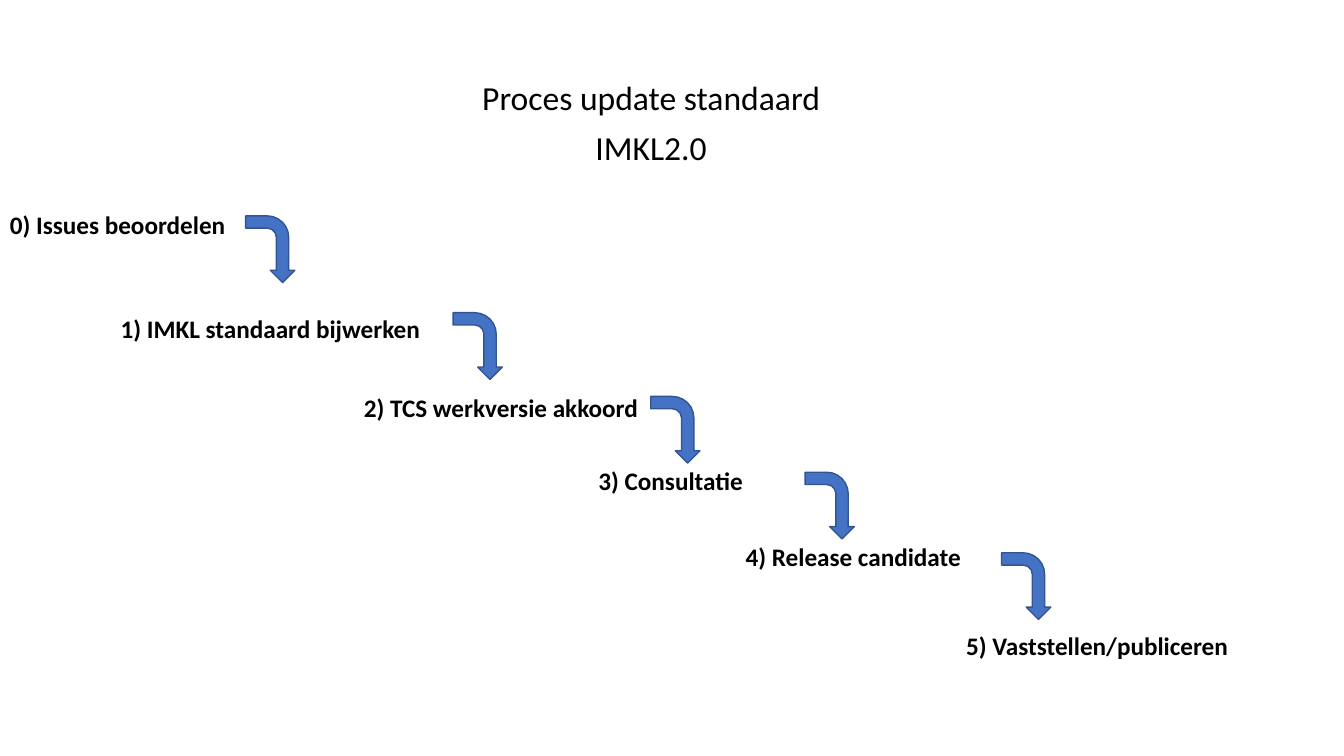
from pptx import Presentation
from pptx.dml.color import RGBColor
from pptx.enum.shapes import MSO_SHAPE
from pptx.enum.text import MSO_AUTO_SIZE, PP_ALIGN
from pptx.util import Cm, Pt

BENT_ARROW = MSO_SHAPE.BENT_ARROW
FIT_SHAPE = MSO_AUTO_SIZE.SHAPE_TO_FIT_TEXT
NO_FIT = MSO_AUTO_SIZE.NONE
LEFT, CENTER = PP_ALIGN.LEFT, PP_ALIGN.CENTER

COLORS = {"text": "000000", "arrow": "4472C4", "arrow_line": "325491"}
FONT = "Calibri"
LABEL_HEIGHT = 1.03
ARROW_WIDTH, ARROW_HEIGHT = 1.68, 1.24

# label, left, top, width in cm
STEPS = [
    ("0) Issues beoordelen", 0, 5.16, 5.97),
    ("1) IMKL standaard bijwerken", 2.79, 7.77, 8.13),
    ("2) TCS werkversie akkoord", 8.92, 9.75, 7.47),
    ("3) Consultatie", 14.83, 11.61, 4.19),
    ("4) Release candidate", 18.54, 13.51, 5.97),
    ("5) Vaststellen/publiceren", 24.1, 15.77, 7.16),
]
# left, top in cm, before rotation
ARROWS = [(5.97, 5.66), (11.2, 8.1), (16.18, 10.21), (20.07, 12.12), (25.02, 14.15)]


def write_text(frame, text, size, bold=False, align=LEFT, line_spacing=None, space_before=None):
    """Fill a text frame, one paragraph for each line of text."""
    for number, line in enumerate(text.split("\n")):
        paragraph = frame.add_paragraph() if number else frame.paragraphs[0]
        paragraph.alignment = align
        paragraph.line_spacing = line_spacing
        paragraph.space_before = space_before
        run = paragraph.add_run()
        run.text = line
        run.font.name = FONT
        run.font.size = Pt(size)
        run.font.bold = bold
        run.font.color.rgb = RGBColor.from_string(COLORS["text"])


class ProcessSlide:
    def __init__(self, presentation):
        self.slide = presentation.slides.add_slide(presentation.slide_layouts[6])

    def add_text(self, text, left, top, width, height, wrap=False, **text_format):
        shape = self.slide.shapes.add_textbox(Cm(left), Cm(top), Cm(width), Cm(height))
        frame = shape.text_frame
        frame.word_wrap = wrap
        frame.auto_size = NO_FIT if wrap else FIT_SHAPE
        write_text(frame, text, **text_format)

    def add_title(self, text):
        self.add_text(text, 3.71, 1.93, 25.4, 4.6, wrap=True, size=24, align=CENTER,
                      line_spacing=0.9, space_before=Pt(10))

    def add_step(self, text, left, top, width):
        self.add_text(text, left, top, width, LABEL_HEIGHT, size=18, bold=True)

    def add_arrow(self, left, top):
        shape = self.slide.shapes.add_shape(
            BENT_ARROW, Cm(left), Cm(top), Cm(ARROW_WIDTH), Cm(ARROW_HEIGHT))
        shape.rotation = 90
        shape.shadow.inherit = False
        shape.fill.solid()
        shape.fill.fore_color.rgb = RGBColor.from_string(COLORS["arrow"])
        shape.line.color.rgb = RGBColor.from_string(COLORS["arrow_line"])
        shape.line.width = Pt(1)


def main():
    presentation = Presentation()
    presentation.slide_width = Cm(33.87)
    presentation.slide_height = Cm(19.05)
    process = ProcessSlide(presentation)
    process.add_title("Proces update standaard\nIMKL2.0")
    for step in STEPS:
        process.add_step(*step)
    for position in ARROWS:
        process.add_arrow(*position)
    presentation.save("out.pptx")


if __name__ == "__main__":
    main()
